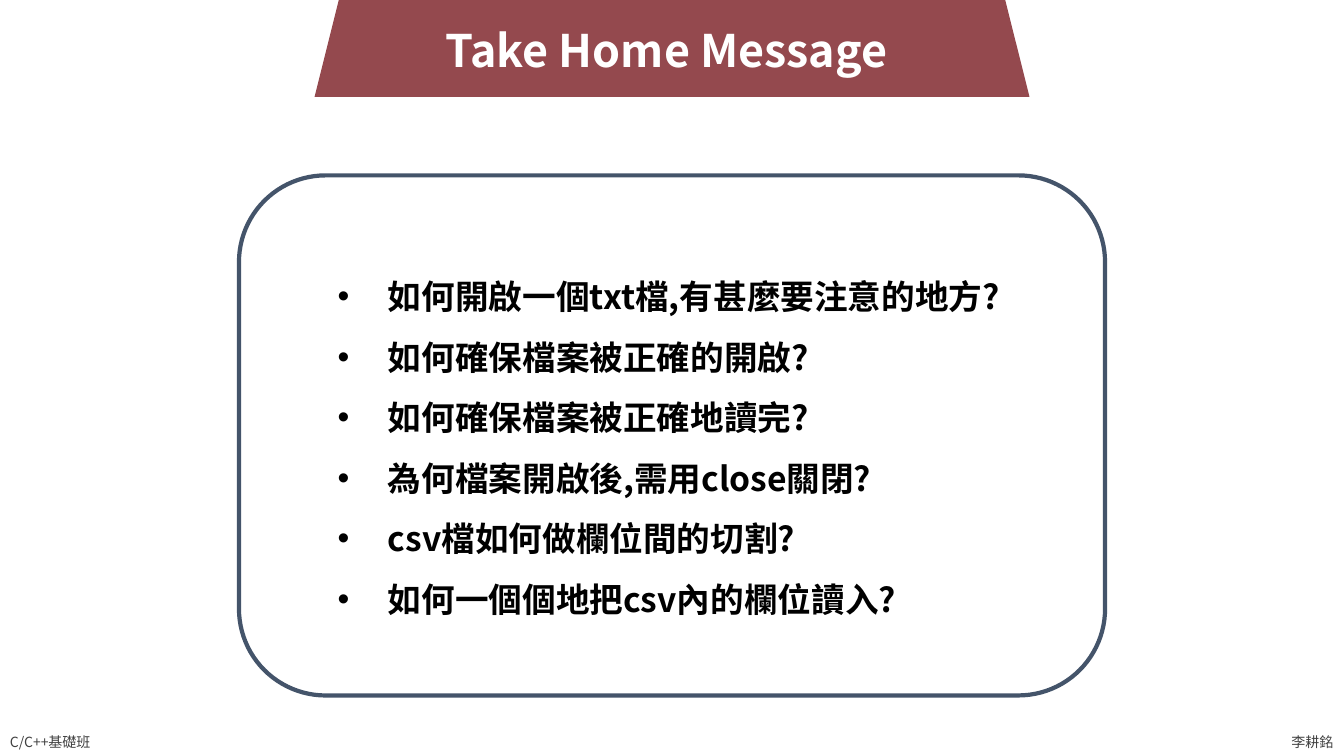
from dataclasses import dataclass

from lxml.etree import SubElement
from pptx import Presentation
from pptx.dml.color import RGBColor
from pptx.enum.shapes import MSO_SHAPE
from pptx.enum.text import MSO_ANCHOR, MSO_AUTO_SIZE, PP_ALIGN
from pptx.oxml import parse_xml
from pptx.oxml.ns import nsdecls, qn
from pptx.util import Emu, Pt

EMU_PER_PX = 9144  # 100 px to the inch


@dataclass(frozen=True)
class Theme:
    font: str = "Noto Sans CJK TC"
    banner: RGBColor = RGBColor(0x94, 0x49, 0x4E)
    outline: RGBColor = RGBColor(0x44, 0x54, 0x6A)
    title: RGBColor = RGBColor(0xFF, 0xFF, 0xFF)
    body: RGBColor = RGBColor(0x00, 0x00, 0x00)
    footer: RGBColor = RGBColor(0x40, 0x40, 0x40)
    title_size: int = 32
    body_size: int = 24
    footer_size: int = 10
    outline_width: int = 3


THEME = Theme()

QUESTIONS = [
    "如何開啟一個txt檔,有甚麼要注意的地方?",
    "如何確保檔案被正確的開啟?",
    "如何確保檔案被正確地讀完?",
    "為何檔案開啟後,需用close關閉?",
    "csv檔如何做欄位間的切割?",
    "如何一個個地把csv內的欄位讀入?",
]


def px(*lengths):
    return [Emu(length * EMU_PER_PX) for length in lengths]


def style_paragraph(para, size, color, bold=False):
    """Set the same face for Latin and East Asian letters."""
    para.alignment = PP_ALIGN.LEFT
    para.font.size = Pt(size)
    para.font.bold = bold
    para.font.color.rgb = color
    para.font.name = THEME.font
    defaults = para._p.pPr.find(qn("a:defRPr"))
    SubElement(defaults, qn("a:ea")).set("typeface", THEME.font)


def add_bullet(para, indent):
    properties = para._p.pPr
    properties.set("marL", str(indent))
    properties.set("indent", str(-indent))
    defaults = properties.find(qn("a:defRPr"))
    for tag in ('buFont {} typeface="Arial"', 'buChar {} char="•"'):
        defaults.addprevious(parse_xml(f"<a:{tag.format(nsdecls('a'))}/>"))


def prepare_frame(frame, wrap, anchor=MSO_ANCHOR.TOP):
    frame.word_wrap = wrap
    frame.auto_size = MSO_AUTO_SIZE.SHAPE_TO_FIT_TEXT
    frame.vertical_anchor = anchor


def add_footer(page, left, top, width, height):
    """Put the course at the left end and the teacher at the right end."""
    labels = [
        ("C/C++基礎班", left, 107, MSO_ANCHOR.TOP),
        ("李耕銘", left + width - 62, 62, MSO_ANCHOR.MIDDLE),
    ]
    for text, label_left, label_width, anchor in labels:
        box = page.shapes.add_textbox(*px(label_left, top, label_width, height))
        prepare_frame(box.text_frame, False, anchor)
        para = box.text_frame.paragraphs[0]
        para.text = text
        style_paragraph(para, THEME.footer_size, THEME.footer)


def add_banner(page, left, top, width, height):
    banner = page.shapes.add_shape(MSO_SHAPE.TRAPEZOID, *px(left, top, width, height))
    banner.shadow.inherit = False
    banner.fill.solid()
    banner.fill.fore_color.rgb = THEME.banner
    banner.line.fill.background()

    title = page.shapes.title
    title.left, title.top, title.width, title.height = px(left + 120, top + 44, 470, 64)
    prepare_frame(title.text_frame, False)
    para = title.text_frame.paragraphs[0]
    para.text = "Take Home Message"
    style_paragraph(para, THEME.title_size, THEME.title, bold=True)
    banner.element.addnext(title.element)


def add_question_panel(page, left, top, width, height):
    panel = page.shapes.add_shape(
        MSO_SHAPE.ROUNDED_RECTANGLE, *px(left, top, width, height))
    panel.shadow.inherit = False
    panel.fill.background()
    panel.line.color.rgb = THEME.outline
    panel.line.width = Pt(THEME.outline_width)

    box = page.shapes.add_textbox(*px(left + 88, top + 75, 683, 366))
    frame = box.text_frame
    prepare_frame(frame, True)
    frame.text = "\n".join(QUESTIONS)
    for para in frame.paragraphs:
        para.line_spacing = 1.5
        style_paragraph(para, THEME.body_size, THEME.body, bold=True)
        add_bullet(para, *px(50))


def main():
    deck = Presentation()
    deck.slide_width, deck.slide_height = px(1333, 750)
    title_only = deck.slide_layouts.get_by_name("Title Only")
    page = deck.slides.add_slide(title_only)
    add_footer(page, 0, 723, 1333, 27)
    add_banner(page, 312, -26, 709, 122)
    add_question_panel(page, 237, 174, 859, 516)
    deck.save("out.pptx")


if __name__ == "__main__":
    main()
